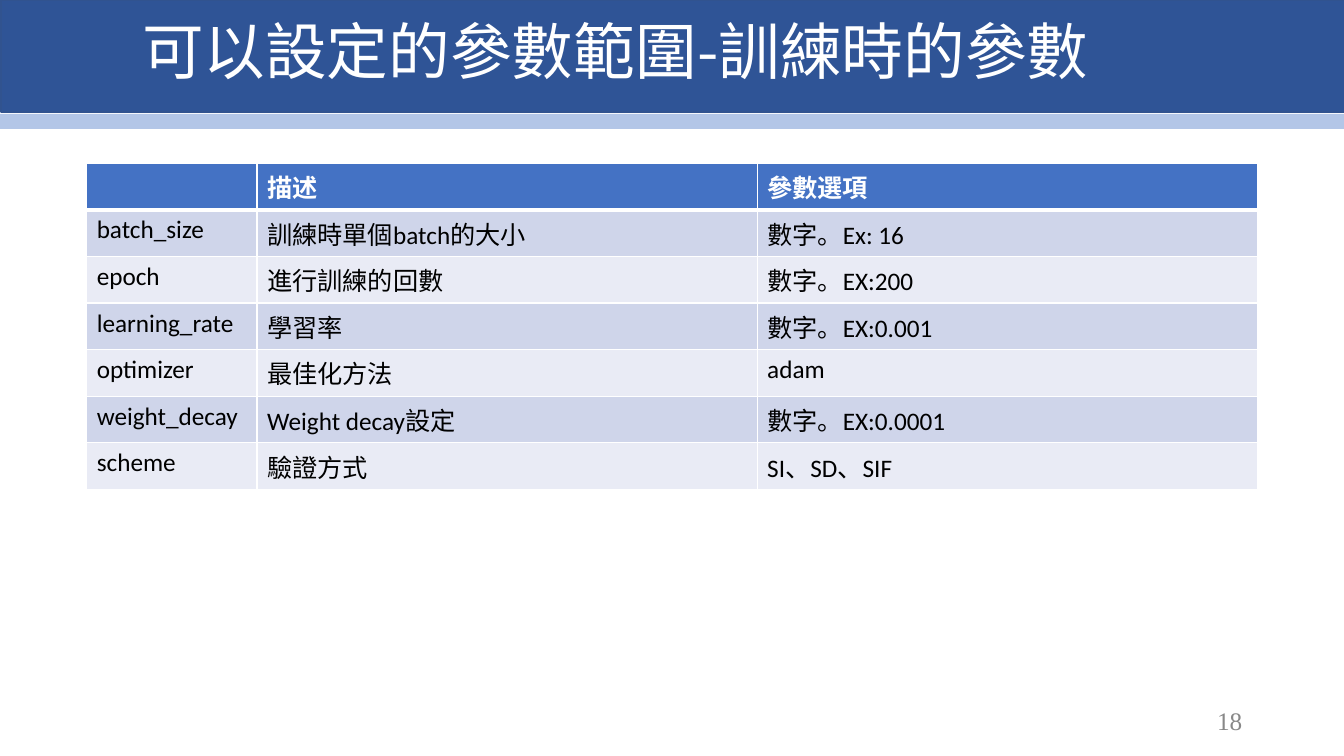
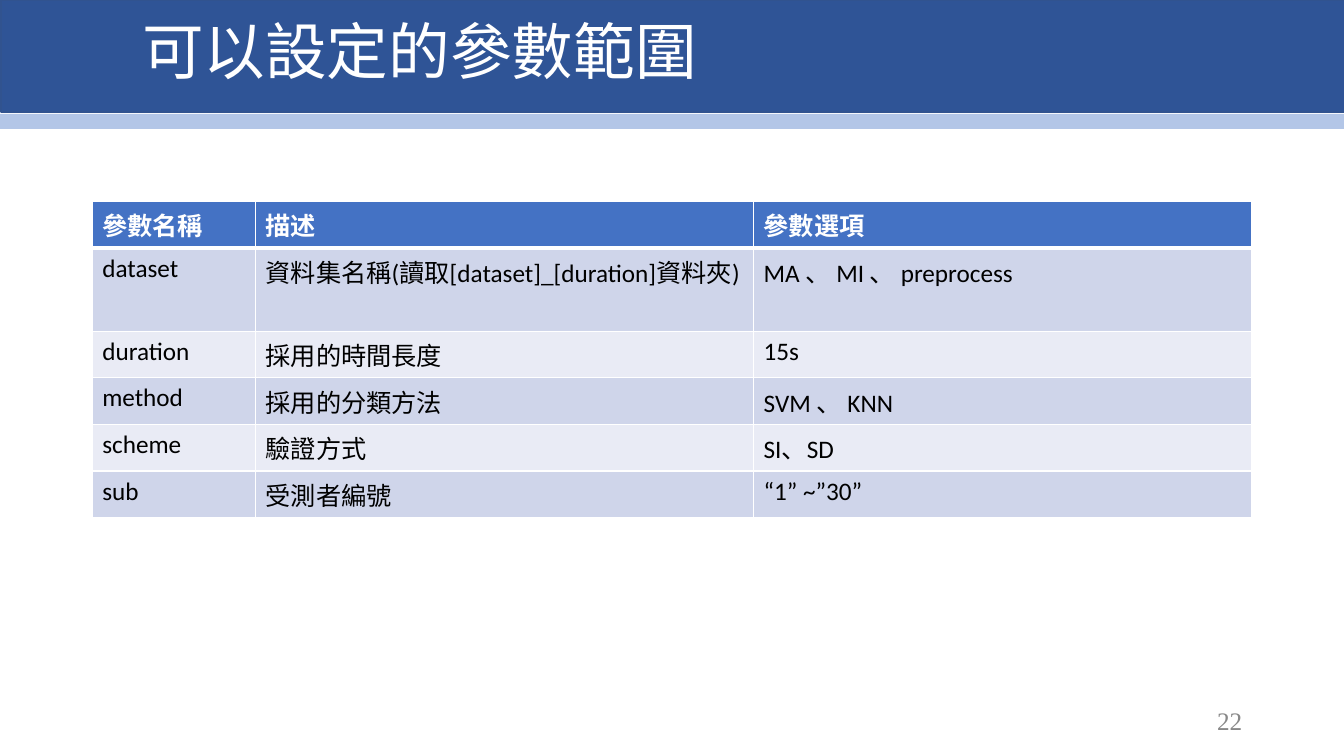
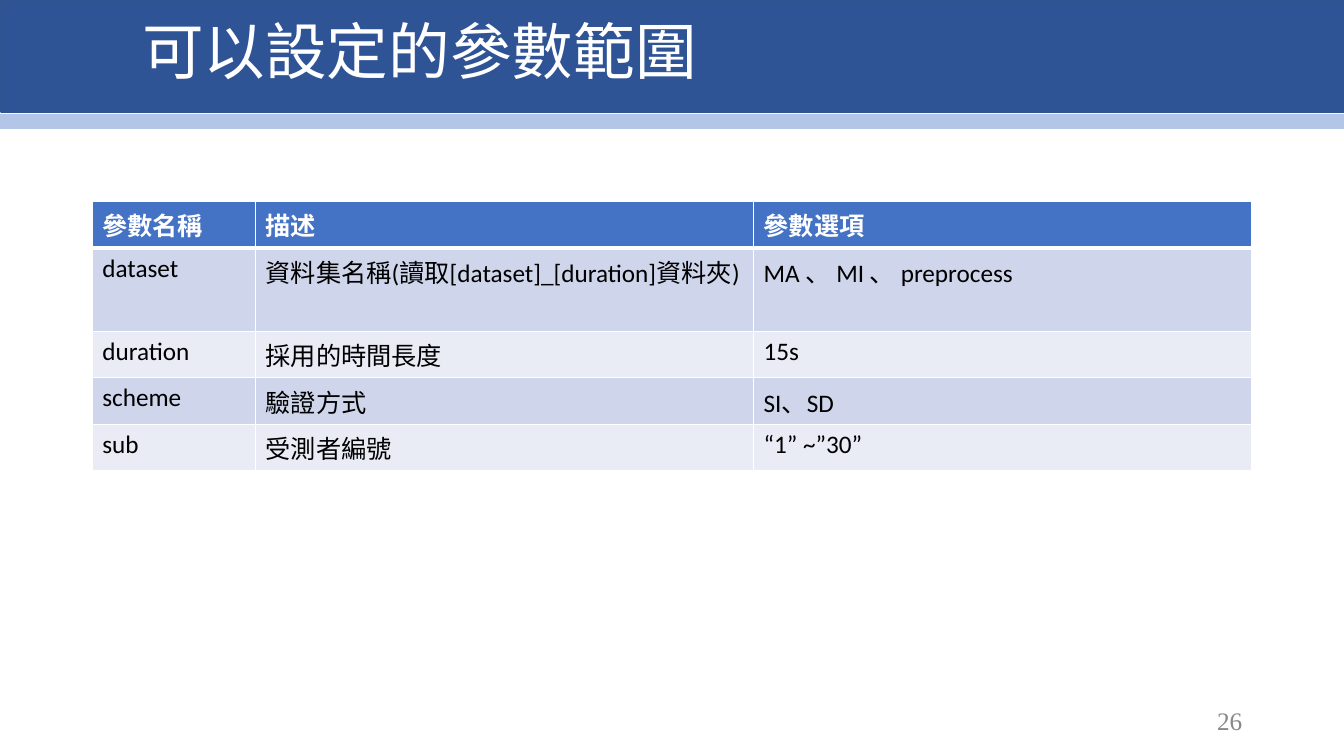
from lxml import etree
from pptx import Presentation
from pptx import util as u
from pptx.dml.color import RGBColor
from pptx.enum import shapes, text
from pptx.oxml.ns import qn

WIDTH, HEIGHT = 13.33, 7.5
NAVY, NAVY_EDGE, PALE_BLUE = "2F5496", "31538F", "B3C6E7"
HEADER_BLUE, STRIPES = "4472C4", ("CFD5EA", "E9EBF5")
WHITE, BLACK, GREY = "FFFFFF", "000000", "888888"
CJK_FONT, LATIN_FONT, NUMBER_FONT = "Noto Sans CJK SC", "Calibri", "Times New Roman"
ROW_HEIGHT = 0.41

HEADINGS = ("參數名稱", "描述", "參數選項")
DATASET = ("dataset", "資料集名稱(讀取[dataset]_[duration]資料夾)", "MA 、 MI 、 preprocess")
DURATION = ("duration", "採用的時間長度", "15s")
METHOD = ("method", "採用的分類方法", "SVM 、 KNN")
SCHEME = ("scheme", "驗證方式", "SI、SD")
SUBJECT = ("sub", "受測者編號", "“1” ~”30”")

TRAINING_ROWS = [
    ("", "描述", "參數選項"),
    ("batch_size", "訓練時單個batch的大小", "數字。Ex: 16"),
    ("epoch", "進行訓練的回數", "數字。EX:200"),
    ("learning_rate", "學習率", "數字。EX:0.001"),
    ("optimizer", "最佳化方法", "adam"),
    ("weight_decay", "Weight decay設定", "數字。EX:0.0001"),
    ("scheme", "驗證方式", "SI、SD、SIF"),
]

# title, page number, table top, table width, name column width, rows
PAGES = [
    ("可以設定的參數範圍-訓練時的參數", 18, 1.62, 11.61, 1.69, TRAINING_ROWS),
    ("可以設定的參數範圍", 22, 2, 11.5, 1.62,
     [HEADINGS, DATASET, DURATION, METHOD, SCHEME, SUBJECT]),
    ("可以設定的參數範圍", 26, 2, 11.5, 1.62,
     [HEADINGS, DATASET, DURATION, SCHEME, SUBJECT]),
]


def rgb(color):
    return RGBColor.from_string(color)


def inches(*lengths):
    return [u.Inches(length) for length in lengths]


def style_paragraph(paragraph, size, font, color, bold=False):
    paragraph.font.size = u.Pt(size)
    paragraph.font.name = font
    paragraph.font.bold = bold
    paragraph.font.color.rgb = rgb(color)
    # East Asian letters share one typeface throughout
    defaults = paragraph.font._element
    etree.SubElement(defaults, qn("a:ea"), typeface=CJK_FONT)


def add_band(slide, box, fill, edge=None):
    band = slide.shapes.add_shape(shapes.MSO_SHAPE.RECTANGLE, *inches(*box))
    band.shadow.inherit = False
    band.fill.solid()
    band.fill.fore_color.rgb = rgb(fill)
    if edge:
        band.line.color.rgb = rgb(edge)
        band.line.width = u.Pt(1)
    else:
        band.line.fill.background()
    # Bands lie behind the title
    slide.shapes.title._element.addprevious(band._element)


def add_heading(slide, wording):
    add_band(slide, (0.01, 0, WIDTH, 1.11), NAVY, NAVY_EDGE)
    add_band(slide, (0, 1.13, WIDTH, 0.15), PALE_BLUE)
    title = slide.shapes.title
    title.left, title.top, title.width, title.height = inches(1.31, -0.18, 11.5, 1.45)
    frame = title.text_frame
    frame.text = wording
    frame.auto_size = text.MSO_AUTO_SIZE.NONE
    frame.vertical_anchor = text.MSO_ANCHOR.MIDDLE
    paragraph = frame.paragraphs[0]
    paragraph.alignment = text.PP_ALIGN.LEFT
    paragraph.line_spacing = 0.9
    style_paragraph(paragraph, 44, CJK_FONT, WHITE)


def add_page_number(slide, number):
    box = slide.shapes.add_textbox(*inches(9.42, 6.95, 3, 0.4))
    frame = box.text_frame
    frame.word_wrap = True
    frame.vertical_anchor = text.MSO_ANCHOR.MIDDLE
    frame.text = str(number)
    frame.paragraphs[0].alignment = text.PP_ALIGN.RIGHT
    style_paragraph(frame.paragraphs[0], 18, NUMBER_FONT, GREY)


def set_borders(cell, top, bottom):
    properties = cell._tc.get_or_add_tcPr()
    for side, points in (("L", 1), ("R", 1), ("T", top), ("B", bottom)):
        line = etree.SubElement(properties, qn(f"a:ln{side}"), w=str(u.Pt(points)))
        fill = etree.SubElement(line, qn("a:solidFill"))
        etree.SubElement(fill, qn("a:srgbClr"), val=WHITE)


def add_parameter_table(slide, top, width, name_width, rows):
    left = (WIDTH - width) / 2
    frame = slide.shapes.add_table(
        len(rows), len(rows[0]), *inches(left, top, width, ROW_HEIGHT * len(rows)))
    table = frame.table
    detail_width = (width - name_width) / 2
    for column, size in zip(table.columns, (name_width, detail_width, detail_width)):
        column.width = u.Inches(size)
    for r, row in enumerate(rows):
        table.rows[r].height = u.Inches(ROW_HEIGHT)
        header = r == 0
        for c, wording in enumerate(row):
            cell = table.cell(r, c)
            # The rule under the header is heavier
            set_borders(cell, 3 if r == 1 else 1, 3 if header else 1)
            cell.fill.solid()
            cell.fill.fore_color.rgb = rgb(HEADER_BLUE if header else STRIPES[(r - 1) % 2])
            cell.text = wording
            style_paragraph(cell.text_frame.paragraphs[0], 18, LATIN_FONT,
                            WHITE if header else BLACK, bold=header)


def main():
    deck = Presentation()
    deck.slide_width, deck.slide_height = inches(WIDTH, HEIGHT)
    title_only = deck.slide_layouts[5]
    for title, number, top, width, name_width, rows in PAGES:
        slide = deck.slides.add_slide(title_only)
        add_heading(slide, title)
        add_parameter_table(slide, top, width, name_width, rows)
        add_page_number(slide, number)
    deck.save("out.pptx")


if __name__ == "__main__":
    main()
